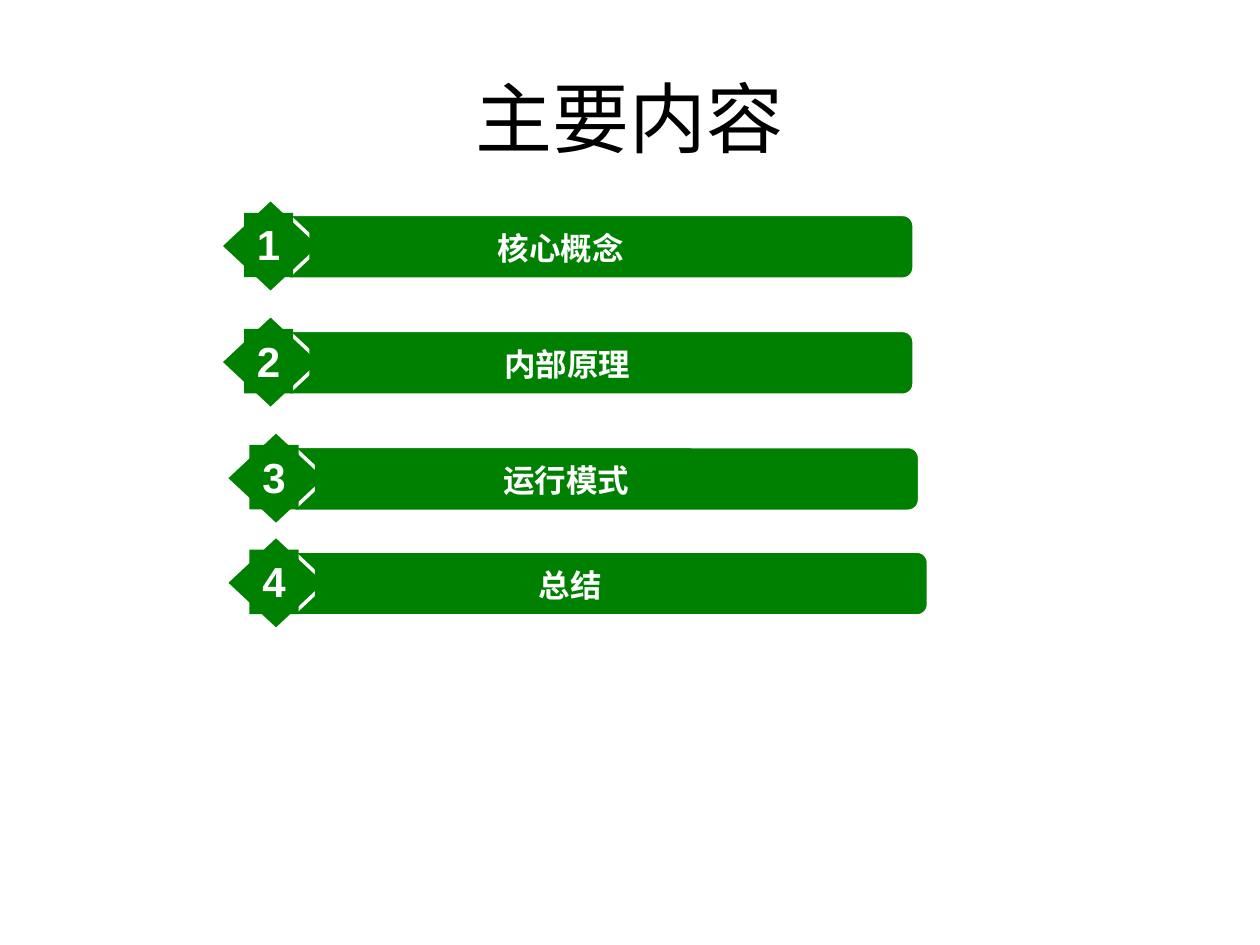
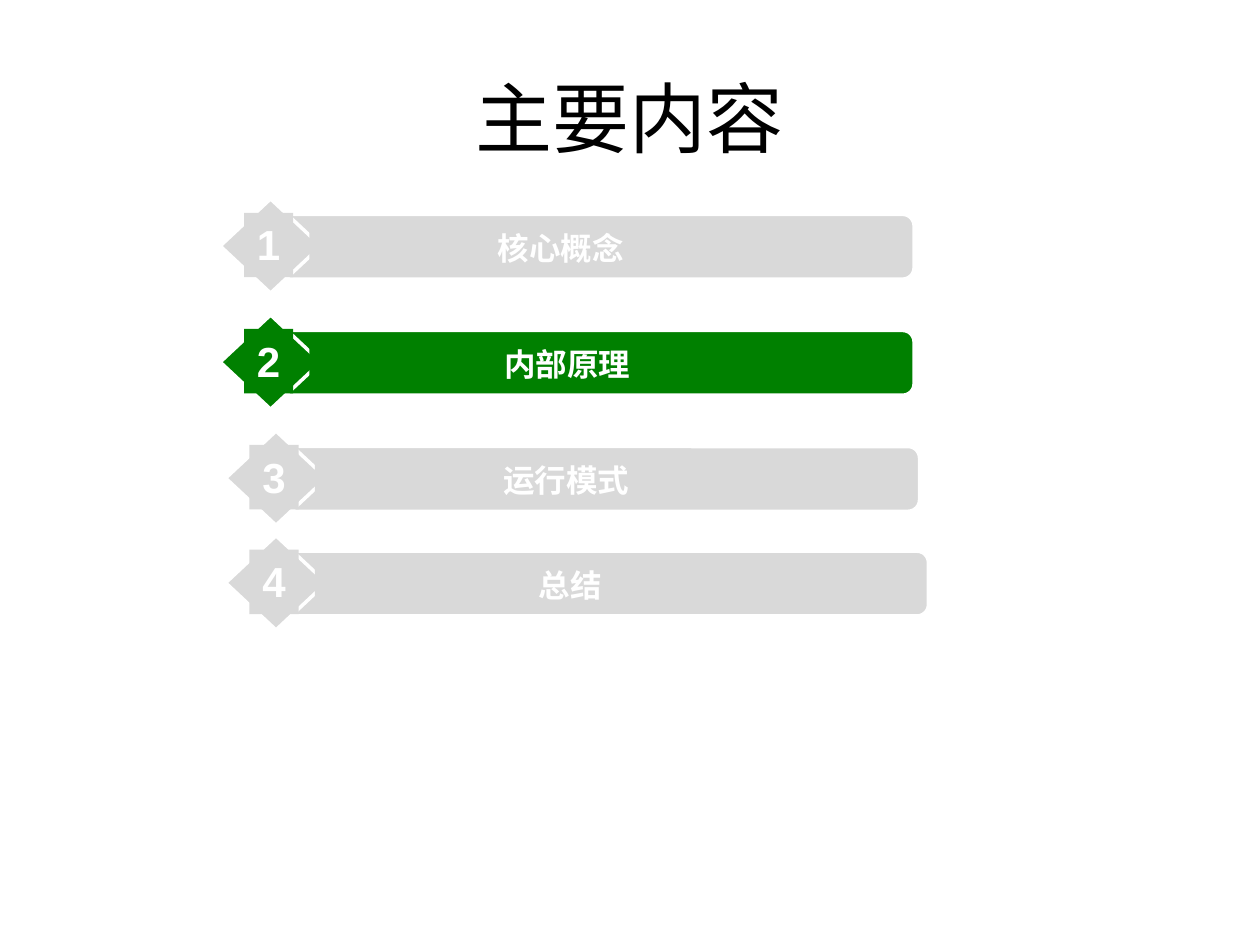
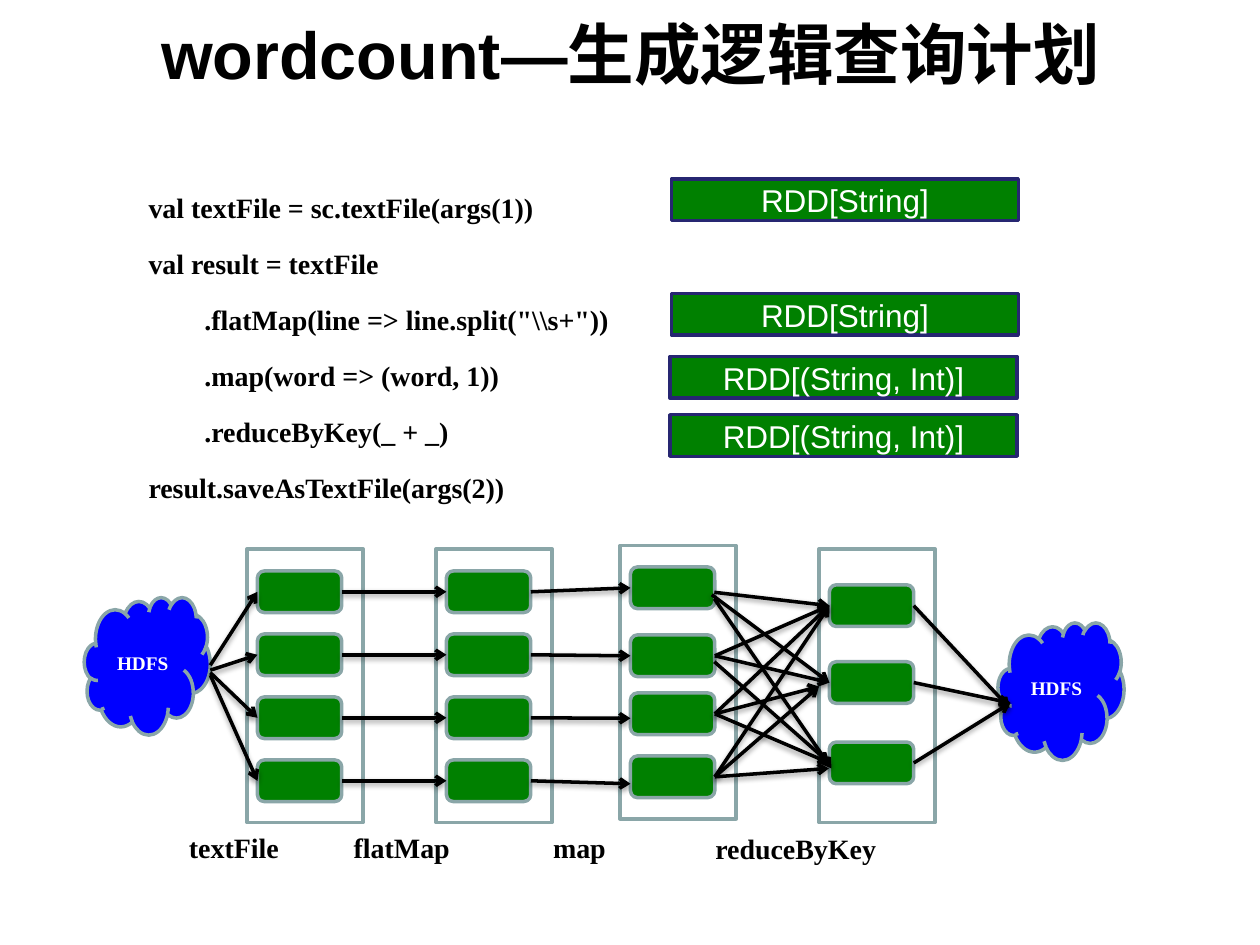
from typing import NamedTuple, Optional

from lxml import etree
from pptx import Presentation
from pptx.dml.color import RGBColor
from pptx.enum.shapes import MSO_CONNECTOR, MSO_SHAPE
from pptx.enum.text import MSO_ANCHOR, MSO_AUTO_SIZE, PP_ALIGN
from pptx.oxml import parse_xml
from pptx.oxml.ns import nsdecls, qn
from pptx.util import Cm, Pt

RECT = MSO_SHAPE.RECTANGLE
ROUND = MSO_SHAPE.ROUNDED_RECTANGLE
DIAMOND = MSO_SHAPE.DIAMOND
CLOUD = MSO_SHAPE.CLOUD
STRAIGHT = MSO_CONNECTOR.STRAIGHT
TOP = MSO_ANCHOR.TOP
MIDDLE = MSO_ANCHOR.MIDDLE
CENTER = PP_ALIGN.CENTER
LEFT = PP_ALIGN.LEFT
GROW = MSO_AUTO_SIZE.SHAPE_TO_FIT_TEXT
FIXED = MSO_AUTO_SIZE.NONE

GREEN = RGBColor(0x00, 0x80, 0x00)
PALE = RGBColor(0xD9, 0xD9, 0xD9)
WHITE = RGBColor(0xFF, 0xFF, 0xFF)
BLACK = RGBColor(0x00, 0x00, 0x00)
BLUE = RGBColor(0x00, 0x00, 0xFF)
NAVY = RGBColor(0x26, 0x26, 0x71)
STEEL = RGBColor(0x8A, 0xA6, 0xA8)
SANS = "Arial"
SERIF = "Times New Roman"

SIDE_LEFT, SIDE_RIGHT = 1, 3
REACH = Cm(0.08)  # how near an arrow end must be to dock on a box


class Area(NamedTuple):
    """Left, top, width and height in centimetres."""
    left: float
    top: float
    width: float
    height: float


class Style(NamedTuple):
    size: int
    font: str = SANS
    color: RGBColor = WHITE
    bold: bool = False


class Topic(NamedTuple):
    text: str
    left: float
    top: float
    bar_width: float
    text_width: float


class Stage(NamedTuple):
    left: float
    top: float
    task_tops: tuple


class Arrow(NamedTuple):
    """Start and end point in centimetres."""
    x1: float
    y1: float
    x2: float
    y2: float


class Label(NamedTuple):
    text: str
    area: Area


TOPICS = (
    Topic("核心概念", 4.44, 4.01, 12.85, 10.13),
    Topic("内部原理", 4.44, 6.35, 12.85, 10.39),
    Topic("运行模式", 4.55, 8.69, 12.85, 10.13),
    Topic("总结", 4.55, 10.8, 13.03, 10.29),
)

CODE = (
    "val textFile = sc.textFile(args(1))",
    "val result = textFile",
    '        .flatMap(line => line.split("\\\\s+"))',
    "        .map(word => (word, 1))",
    "        .reduceByKey(_ + _)",
    "result.saveAsTextFile(args(2))",
)

TYPES = (
    Label("RDD[String]", Area(13.54, 3.61, 6.99, 0.84)),
    Label("RDD[String]", Area(13.54, 5.92, 6.99, 0.84)),
    Label("RDD[(String, Int)]", Area(13.51, 7.19, 6.99, 0.84)),
    Label("RDD[(String, Int)]", Area(13.51, 8.36, 6.99, 0.84)),
)

STEPS = (
    Label("textFile", Area(3.56, 16.61, 2.34, 0.94)),
    Label("flatMap", Area(6.88, 16.61, 2.49, 0.94)),
    Label("map", Area(10.9, 16.61, 1.6, 0.94)),
    Label("reduceByKey", Area(14.17, 16.63, 3.81, 0.94)),
)

EVEN_TOPS = tuple(11.51 + 1.27 * row for row in range(4))
STAGES = (
    Stage(4.98, 11.07, EVEN_TOPS),
    Stage(8.79, 11.07, EVEN_TOPS),
    Stage(12.5, 11.0, (11.43, 12.8, 13.97, 15.24)),
    Stage(16.51, 11.07, (11.79, 13.34, 14.96)),
)
TASK_WIDTH, TASK_HEIGHT = 1.7, 0.84

STORES = (Area(1.7, 12.04, 2.54, 2.77), Area(20.12, 12.55, 2.54, 2.77))

MIDS = [top + TASK_HEIGHT / 2 for top in EVEN_TOPS]
READS = [Arrow(4.24, y, 5.19, mid)
         for y, mid in zip((13.41, 13.51, 13.56, 13.61), MIDS)]
SPLITS = [Arrow(6.89, mid, 9.0, mid) for mid in MIDS]
MAPS = [Arrow(10.7, y1, 12.71, y2) for y1, y2 in (
    (11.86, 11.84), (13.2, 13.23), (14.47, 14.48), (15.8, 15.8))]
MIXES = [Arrow(*ends) for ends in (
    (14.4, 11.94, 16.74, 12.19), (14.35, 11.99, 16.71, 13.74),
    (14.4, 12.07, 16.76, 15.49), (14.38, 13.21, 16.74, 12.19),
    (14.38, 14.35, 16.74, 12.19), (14.4, 13.16, 16.71, 13.74),
    (14.4, 13.34, 16.76, 15.39), (14.35, 14.38, 16.51, 13.84),
    (14.38, 14.43, 16.76, 15.39), (14.35, 15.65, 16.74, 12.19),
    (14.35, 15.7, 16.51, 13.84), (14.35, 15.7, 16.71, 15.49))]
WRITES = [Arrow(18.42, 12.19, 20.35, 14.27), Arrow(18.44, 13.84, 20.37, 14.17),
          Arrow(18.42, 15.44, 20.37, 14.17)]


def place(shape, area: Area) -> None:
    shape.left, shape.top, shape.width, shape.height = map(Cm, area)


def write(para, text: str, style: Style, align=CENTER) -> None:
    para.alignment = align
    run = para.add_run()
    run.text = text
    font = run.font
    font.name, font.size, font.bold = style.font, Pt(style.size), style.bold
    font.color.rgb = style.color


def draw(shapes, kind, area: Area, fill: RGBColor,
         edge: Optional[RGBColor] = None, weight: float = 2):
    shape = shapes.add_shape(kind, *map(Cm, area))
    shape.shadow.inherit = False
    shape.fill.solid()
    shape.fill.fore_color.rgb = fill
    if edge is None:
        shape.line.fill.background()
    else:
        shape.line.color.rgb = edge
        shape.line.width = Pt(weight)
    return shape


def letter(shape, text: str, style: Style, anchor=MIDDLE, align=CENTER,
           wrap: bool = True, grow: bool = False) -> None:
    """Put one line of text into a shape."""
    frame = shape.text_frame
    frame.word_wrap = wrap
    frame.vertical_anchor = anchor
    if grow:
        frame.auto_size = GROW
    write(frame.paragraphs[0], text, style, align)


def head(slide, text: str, area: Area, style: Style) -> None:
    """Fill the title placeholder."""
    title = slide.shapes.title
    place(title, area)
    title.text_frame.auto_size = FIXED
    title.text_frame.vertical_anchor = MIDDLE
    write(title.text_frame.paragraphs[0], text, style)


def draw_topic(slide, number: int, topic: Topic, fill: RGBColor) -> None:
    shapes = slide.shapes.add_group_shape().shapes
    left, top = topic.left, topic.top
    draw(shapes, ROUND, Area(left + 1.12, top + 0.33, topic.bar_width, 1.27),
         fill, WHITE, 1)
    draw(shapes, DIAMOND, Area(left, top, 2.03, 1.9), fill, WHITE)
    name = draw(shapes, RECT,
                Area(left + 1.8, top + 0.48, topic.text_width, 1.02), fill)
    letter(name, topic.text, Style(18, bold=True), TOP, grow=True)
    digit = draw(shapes, RECT, Area(left + 0.48, top + 0.28, 0.99, 1.3), fill)
    letter(digit, str(number), Style(24, bold=True), TOP, wrap=False, grow=True)


def add_agenda(deck, active: tuple) -> None:
    """Add a contents slide on which the active topics are green."""
    slide = deck.slides.add_slide(deck.slide_layouts[5])
    head(slide, "主要内容", Area(1.27, 0.76, 22.86, 3.18),
         Style(44, color=BLACK))
    for number, topic in enumerate(TOPICS, 1):
        draw_topic(slide, number, topic, GREEN if number in active else PALE)


def fill_code(body) -> None:
    place(body, Area(1.47, 3.38, 22.86, 14.6))
    frame = body.text_frame
    frame.auto_size = FIXED
    frame.vertical_anchor = TOP
    for index, line in enumerate(CODE):
        para = frame.add_paragraph() if index else frame.paragraphs[0]
        para.level = 1
        props = para._p.get_or_add_pPr()
        props.set("marL", str(Cm(1.27)))
        props.set("indent", "0")
        etree.SubElement(props, qn("a:buNone"))
        para.line_spacing = 1.5
        if index == 0:
            para.space_before = Pt(0)
        write(para, line, Style(16, SERIF, BLACK, True), LEFT)


def find_dock(boxes: list, x: int, y: int, side: int):
    """Return the box whose side has its middle at the given point."""
    for box in boxes:
        edge = box.left + (box.width if side == SIDE_RIGHT else 0)
        if abs(edge - x) <= REACH and abs(box.top + box.height / 2 - y) <= REACH:
            return box
    return None


def draw_arrow(shapes, arrow: Arrow, boxes: list) -> None:
    x1, y1, x2, y2 = map(Cm, arrow)
    line = shapes.add_connector(STRAIGHT, x1, y1, x2, y2)
    source = find_dock(boxes, x1, y1, SIDE_RIGHT)
    target = find_dock(boxes, x2, y2, SIDE_LEFT)
    if source is not None:
        line.begin_connect(source, SIDE_RIGHT)
    if target is not None:
        line.end_connect(target, SIDE_LEFT)
    line.line.color.rgb = BLACK
    line.line.width = Pt(2)
    props = line._element.spPr
    etree.SubElement(props.find(qn("a:ln")), qn("a:tailEnd"), type="arrow")
    props.append(parse_xml(
        f'<a:effectLst {nsdecls("a")}><a:outerShdw blurRad="40000" '
        'dist="20000" dir="5400000" rotWithShape="0"><a:srgbClr val="000000">'
        '<a:alpha val="38000"/></a:srgbClr></a:outerShdw></a:effectLst>'))


def draw_graph(slide) -> None:
    shapes = slide.shapes.add_group_shape().shapes
    tasks = []
    for stage in STAGES:
        draw(shapes, RECT, Area(stage.left, stage.top, 2.34, 5.51), WHITE, STEEL)
        for top in stage.task_tops:
            area = Area(stage.left + 0.21, top, TASK_WIDTH, TASK_HEIGHT)
            tasks.append(draw(shapes, ROUND, area, GREEN, STEEL))
    for area in STORES:
        store = draw(shapes, CLOUD, area, BLUE, STEEL)
        letter(store, "HDFS", Style(11, SERIF, WHITE, True))
    for arrow in READS + SPLITS + MAPS + MIXES + WRITES:
        draw_arrow(shapes, arrow, tasks)


def add_plan(deck) -> None:
    slide = deck.slides.add_slide(deck.slide_layouts[1])
    head(slide, "wordcount—生成逻辑查询计划", Area(0.03, 0.03, 25.37, 2.08),
         Style(38, color=BLACK, bold=True))
    fill_code(slide.placeholders[1])
    for label in TYPES:
        box = draw(slide.shapes, RECT, label.area, GREEN, NAVY)
        letter(box, label.text, Style(18))
    for label in STEPS:
        box = slide.shapes.add_textbox(*map(Cm, label.area))
        letter(box, label.text, Style(16, SERIF, BLACK, True), TOP, LEFT,
               wrap=False, grow=True)
    draw_graph(slide)


def main() -> None:
    deck = Presentation()
    deck.slide_width, deck.slide_height = Cm(25.4), Cm(19.05)
    add_agenda(deck, (1, 2, 3, 4))
    add_agenda(deck, (2,))
    add_plan(deck)
    deck.save("out.pptx")


if __name__ == "__main__":
    main()
